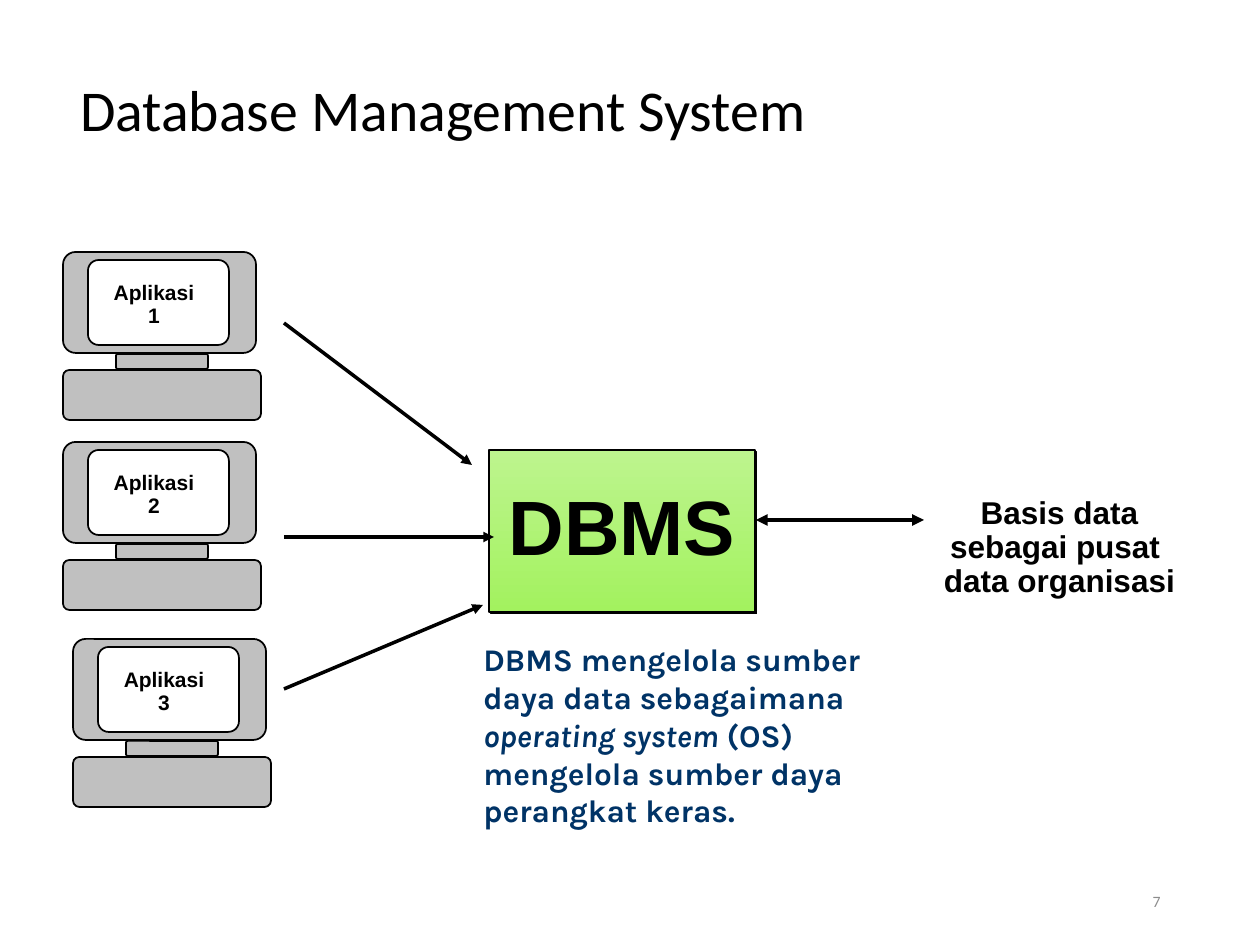
from dataclasses import dataclass
from lxml.etree import SubElement
from pptx import Presentation
from pptx.dml.color import RGBColor
from pptx.enum.shapes import MSO_CONNECTOR, MSO_SHAPE
from pptx.enum.text import MSO_ANCHOR, MSO_AUTO_SIZE, PP_ALIGN
from pptx.oxml.ns import qn
from pptx.util import Emu, Pt

PX = 914400 // 126


@dataclass(frozen=True)
class Theme:
    ink: str = "000000"
    note: str = "003366"
    number: str = "8C8C8C"
    casing: str = "C0C0C0"
    screen: str = "FFFFFF"
    engine_top: str = "BDF48E"
    engine_bottom: str = "A3F25F"
    title_size: int = 33
    engine_size: int = 44
    body_size: int = 18
    label_size: int = 12
    number_size: int = 9
    outline: float = 1
    heading_font: str = "Calibri"
    label_font: str = "Arial"
    note_font: str = "Karla"


THEME = Theme()


def px(*lengths):
    return [Emu(round(length * PX)) for length in lengths]


def rgb(value):
    return RGBColor.from_string(value)


def add_run(paragraph, text, size, font, color=THEME.ink, bold=False, italic=None):
    run = paragraph.add_run()
    run.text = text
    run.font.size = Pt(size)
    run.font.name = font
    run.font.color.rgb = rgb(color)
    run.font.bold = bold
    run.font.italic = italic


def write_label(frame, lines, size):
    """Centred bold lines, tightly spaced and never wrapped."""
    frame.word_wrap = False
    for index, line in enumerate(lines):
        paragraph = frame.paragraphs[0] if index == 0 else frame.add_paragraph()
        paragraph.alignment = PP_ALIGN.CENTER
        paragraph.line_spacing = 0.9
        add_run(paragraph, line, size, THEME.label_font, bold=True)


def add_text_box(slide, box):
    return slide.shapes.add_textbox(*px(*box)).text_frame


def add_block(slide, kind, box, color=None):
    block = slide.shapes.add_shape(kind, *px(*box))
    block.shadow.inherit = False
    if color:
        block.fill.solid()
        block.fill.fore_color.rgb = rgb(color)
    block.line.color.rgb = rgb(THEME.ink)
    block.line.width = Pt(THEME.outline)
    return block


def add_title(slide, box, text):
    title = slide.shapes.title
    title.left, title.top, title.width, title.height = px(*box)
    frame = title.text_frame
    frame.auto_size = MSO_AUTO_SIZE.NONE
    frame.vertical_anchor = MSO_ANCHOR.TOP
    frame.margin_left, frame.margin_right, frame.margin_top, frame.margin_bottom = px(6, 6, 3, 3)
    frame.paragraphs[0].alignment = PP_ALIGN.LEFT
    add_run(frame.paragraphs[0], text, THEME.title_size, THEME.heading_font)


def add_computer(slide, left, top, lines):
    parts = (
        ((0, 118, 198, 50), THEME.casing),   # base
        ((0, 0, 193, 101), THEME.casing),    # monitor
        ((53, 102, 92, 15), THEME.casing),   # neck
        ((25, 8, 141, 85), THEME.screen),    # screen
    )
    for (x, y, width, height), color in parts:
        part = add_block(slide, MSO_SHAPE.ROUNDED_RECTANGLE,
                         (left + x, top + y, width, height), color)
        part.adjustments[0] = 0.125
    write_label(add_text_box(slide, (left + 38, top + 24, 106, 58)), lines, THEME.label_size)


def add_engine(slide, box, text):
    engine = add_block(slide, MSO_SHAPE.RECTANGLE, box)
    engine.fill.gradient()
    engine.fill.gradient_angle = 270
    for stop, color in zip(engine.fill.gradient_stops, (THEME.engine_top, THEME.engine_bottom)):
        stop.color.rgb = rgb(color)
    # Hard shadow to the lower right
    effects = engine.element.spPr.find(qn("a:effectLst"))
    shadow = SubElement(effects, qn("a:outerShdw"), dist=str(Pt(1.4)), dir="2700000",
                        algn="ctr", rotWithShape="0")
    SubElement(shadow, qn("a:srgbClr"), val=THEME.ink)
    engine.text_frame.vertical_anchor = MSO_ANCHOR.MIDDLE
    write_label(engine.text_frame, [text], THEME.engine_size)


def add_arrow(slide, start, end, width=2, both_ways=False):
    arrow = slide.shapes.add_connector(MSO_CONNECTOR.STRAIGHT, *px(*start, *end))
    arrow.line.color.rgb = rgb(THEME.ink)
    arrow.line.width = Pt(width)
    for tag in ("a:headEnd", "a:tailEnd") if both_ways else ("a:tailEnd",):
        SubElement(arrow.line._get_or_add_ln(), qn(tag), type="triangle")
    SubElement(arrow.element.spPr, qn("a:effectLst"))


def add_note(slide, box, pieces):
    frame = add_text_box(slide, box)
    frame.word_wrap = True
    paragraph = frame.paragraphs[0]
    paragraph.space_before = Pt(11.2)
    for text, italic in pieces:
        add_run(paragraph, text, THEME.body_size, THEME.note_font, THEME.note, True, italic)


def add_slide_number(slide, box, number):
    frame = add_text_box(slide, box)
    frame.word_wrap = True
    frame.vertical_anchor = MSO_ANCHOR.MIDDLE
    frame.paragraphs[0].alignment = PP_ALIGN.RIGHT
    add_run(frame.paragraphs[0], number, THEME.number_size, THEME.heading_font, THEME.number)


def build_dbms_slide(deck):
    slide = deck.slides.add_slide(deck.slide_layouts[5])
    add_title(slide, (74, 71, 1186, 84), "Database Management System")
    add_slide_number(slide, (890, 876, 283, 50), "7")
    add_note(slide, (471, 634, 462, 239), (
        ("DBMS mengelola sumber daya data sebagaimana ", False),
        ("operating system", True),
        (" (OS) mengelola sumber daya perangkat keras.", False),
    ))

    # Database engine and the data it serves
    add_engine(slide, (489, 450, 266, 162), "DBMS")
    write_label(add_text_box(slide, (931, 491, 257, 115)),
                ["Basis data", "sebagai pusat ", "data organisasi"], THEME.body_size)
    add_arrow(slide, (756, 520), (924, 520), 2.25, both_ways=True)

    # Applications and their links to the engine
    links = (
        ((63, 252), (284, 323), (472, 465)),
        ((63, 442), (284, 537), (494, 537)),
        ((73, 639), (284, 689), (483, 605)),
    )
    for number, (corner, start, end) in enumerate(links, 1):
        add_arrow(slide, start, end)
        add_computer(slide, *corner, ["Aplikasi", str(number)])


presentation = Presentation()
presentation.slide_width, presentation.slide_height = px(1260, 945)
build_dbms_slide(presentation)
presentation.save("out.pptx")
